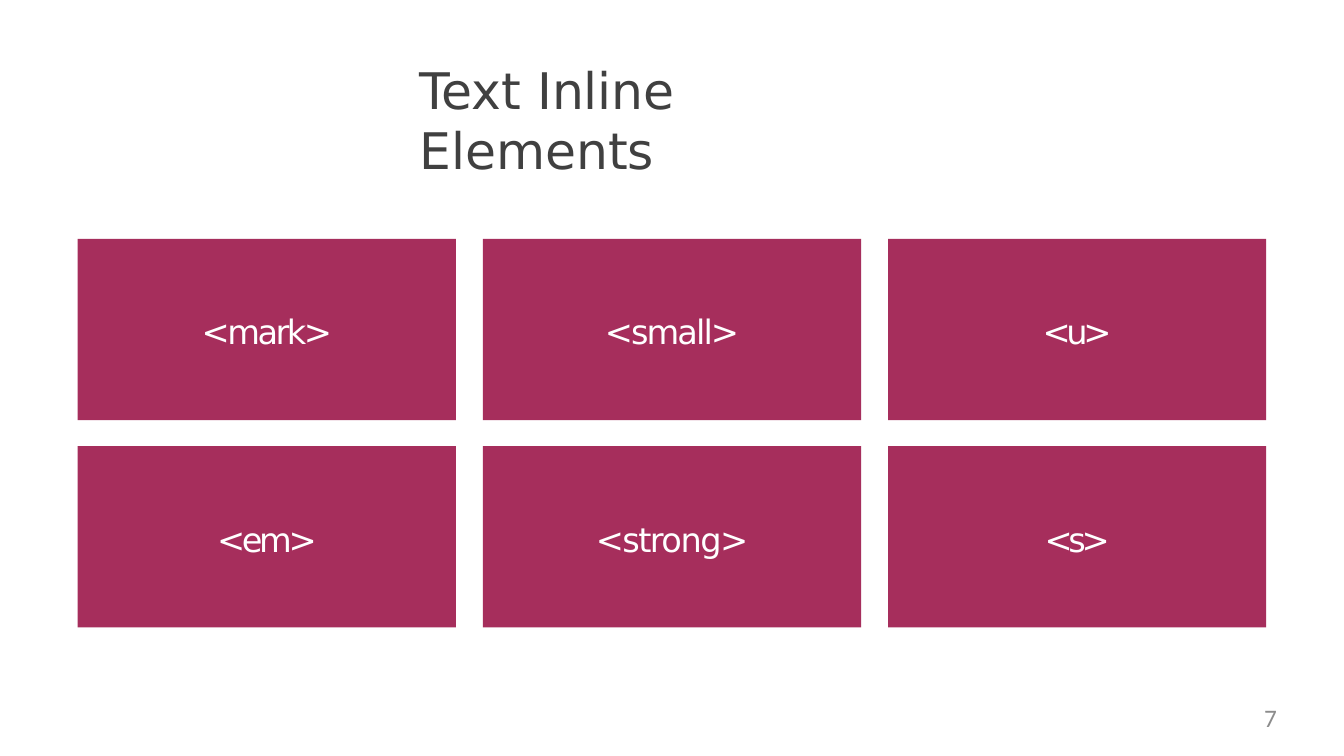
from pptx import Presentation
from pptx.dml.color import RGBColor
from pptx.enum.shapes import MSO_SHAPE
from pptx.enum.text import MSO_ANCHOR, PP_ALIGN
from pptx.util import Cm, Pt

TITLE = "Text Inline Elements"
PAGE = "7"
TAGS = [
    [("<mark>", -1.8), ("<small>", -1.4), ("<u>", -3.1)],
    [("<em>", -2.4), ("<strong>", -1.1), ("<s>", -3.1)],
]

CARD_FILL = RGBColor(0xA6, 0x2E, 0x5C)
WHITE = RGBColor(0xFF, 0xFF, 0xFF)
DARK = RGBColor(0x40, 0x40, 0x40)
GREY = RGBColor(0x8C, 0x8C, 0x8C)
RECT = MSO_SHAPE.RECTANGLE
LEFT, CENTER, RIGHT = PP_ALIGN.LEFT, PP_ALIGN.CENTER, PP_ALIGN.RIGHT
TOP, MIDDLE = MSO_ANCHOR.TOP, MSO_ANCHOR.MIDDLE

GRID_LEFT, GRID_TOP = 1.96, 6.02
CARD_W, CARD_H = 9.53, 4.57
GAP_X, GAP_Y = 0.68, 0.65


def write(sp, text, size, color, font="DejaVu Sans", align=LEFT,
          anchor=TOP, inset=0, before=0, spacing=0):
    tf = sp.text_frame
    tf.word_wrap = True
    tf.vertical_anchor = anchor
    tf.margin_left = tf.margin_right = tf.margin_bottom = 0
    tf.margin_top = Cm(inset)
    p = tf.paragraphs[0]
    p.alignment = align
    p.space_before = Pt(before)
    r = p.add_run()
    r.text = text
    r.font.name = font
    r.font.size = Pt(size)
    r.font.color.rgb = color
    if spacing:
        r._r.get_or_add_rPr().set("spc", str(round(spacing * 100)))


prs = Presentation()
prs.slide_width, prs.slide_height = Cm(33.87), Cm(19.05)
s = prs.slides.add_slide(prs.slide_layouts[6])

title = s.shapes.add_textbox(Cm(10.57), Cm(1.45), Cm(12.47), Cm(1.6))
write(title, TITLE, 36, DARK, inset=0.03, before=1)

for row, tags in enumerate(TAGS):
    for col, (tag, spacing) in enumerate(tags):
        x = GRID_LEFT + col * (CARD_W + GAP_X)
        y = GRID_TOP + row * (CARD_H + GAP_Y)
        sp = s.shapes.add_shape(RECT, Cm(x), Cm(y), Cm(CARD_W), Cm(CARD_H))
        sp.shadow.inherit = False
        sp.fill.solid()
        sp.fill.fore_color.rgb = CARD_FILL
        sp.line.fill.background()
        write(sp, tag, 24, WHITE, align=CENTER, anchor=MIDDLE, inset=0.1,
              spacing=spacing)

number = s.shapes.add_textbox(Cm(24.38), Cm(17.7), Cm(7.8), Cm(0.97))
write(number, PAGE, 18, GREY, font="Calibri", align=RIGHT)

prs.save("out.pptx")
